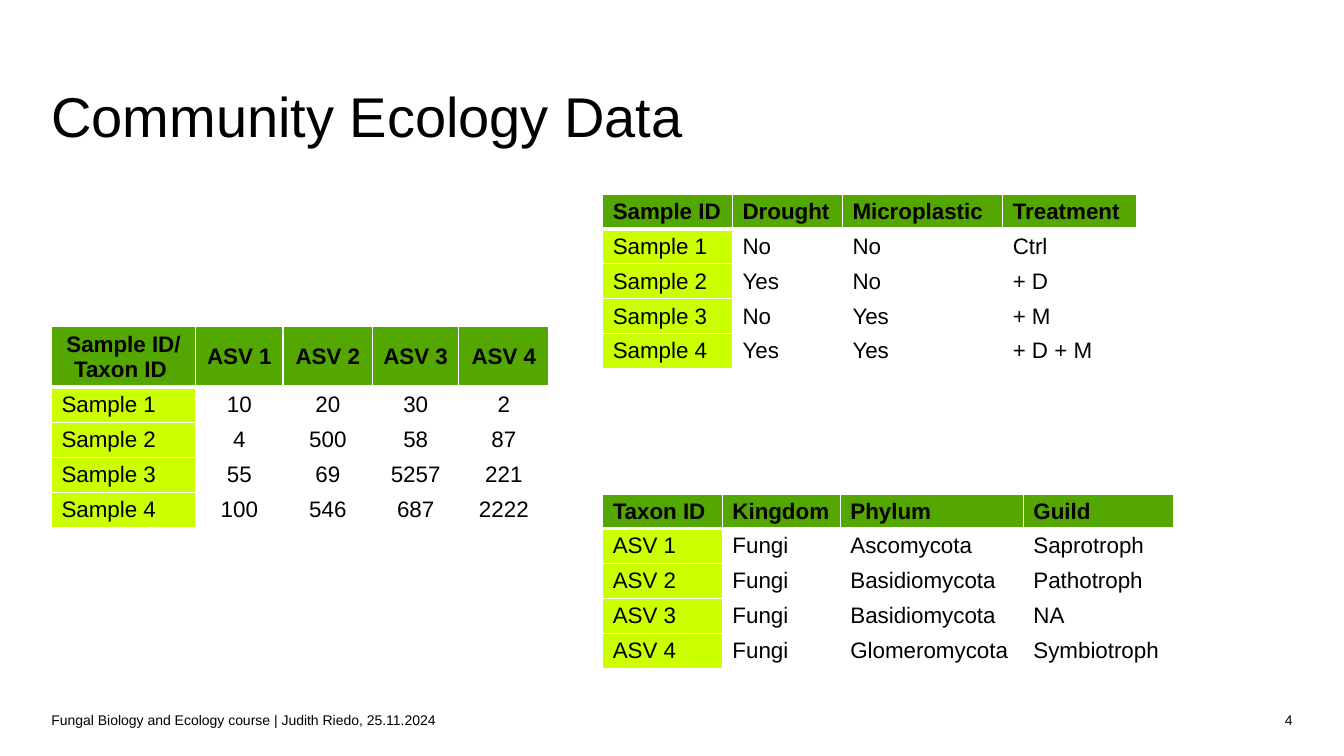
"""Build the Community Ecology Data slide with its three linked tables."""
from lxml import etree
from pptx import Presentation
from pptx.dml.color import RGBColor
from pptx.enum.text import MSO_ANCHOR, PP_ALIGN
from pptx.oxml.ns import qn
from pptx.util import Pt

LEFT, CENTER, RIGHT = PP_ALIGN.LEFT, PP_ALIGN.CENTER, PP_ALIGN.RIGHT
MIDDLE = MSO_ANCHOR.MIDDLE
TITLE_ONLY = 5
ROW_HEIGHT = 25
THIN, THICK = 0.96, 3
COLORS = {"text": "000000", "header": "54A700", "label": "CCFF00", "border": "FFFFFF"}


def write_text(frame, text, size, align=LEFT, bold=False):
    """Fill a text frame with one formatted paragraph."""
    para = frame.paragraphs[0]
    para.alignment = align
    span = para.add_run()
    span.text = text
    span.font.color.rgb = RGBColor.from_string(COLORS["text"])
    for name, value in {"name": "Arial", "size": Pt(size), "bold": bold}.items():
        setattr(span.font, name, value)


def add_borders(cell, top, bottom):
    """Draw the four cell borders with the given top and bottom widths."""
    properties = cell._tc.get_or_add_tcPr()
    sides = {"a:lnL": THIN, "a:lnR": THIN, "a:lnT": top, "a:lnB": bottom}
    for position, (tag, width) in enumerate(sides.items()):
        line = etree.Element(qn(tag), w=str(int(Pt(width))))
        fill = etree.SubElement(line, qn("a:solidFill"))
        etree.SubElement(fill, qn("a:srgbClr"), val=COLORS["border"])
        properties.insert(position, line)


deck = Presentation()
deck.slide_width, deck.slide_height = Pt(960), Pt(540)
page = deck.slides.add_slide(deck.slide_layouts[TITLE_ONLY])

title = page.shapes.title
footer = page.shapes.add_textbox(0, 0, 0, 0)
number = page.shapes.add_textbox(0, 0, 0, 0)
texts = [
    (title, (36.75, 26.5, 886.5, 111), "Community Ecology Data", 40, LEFT),
    (footer, (36.75, 503.5, 775.5, 22),
     "Fungal Biology and Ecology course | Judith Riedo, 25.11.2024", 10, LEFT),
    (number, (812.25, 503.5, 111, 22), "4", 10, RIGHT),
]
for box, bounds, text, size, align in texts:
    for name, value in zip(("left", "top", "width", "height"), bounds):
        setattr(box, name, Pt(value))
    frame = box.text_frame
    frame.word_wrap = True
    frame.vertical_anchor = MIDDLE
    for side in ("left", "right", "top", "bottom"):
        setattr(frame, f"margin_{side}", 0)
    write_text(frame, text, size, align)

tables = [
    {"left": 36.75, "top": 233.25, "header": 42.5, "align": CENTER,
     "widths": [103, 62.5, 64, 61.5, 64.5],
     "rows": [
         ["Sample ID/ Taxon ID ", "ASV 1", "ASV 2", "ASV 3", "ASV 4"],
         ["Sample 1", "10", "20", "30", "2"],
         ["Sample 2", "4", "500", "58", "87"],
         ["Sample 3", "55", "69", "5257", "221"],
         ["Sample 4", "100", "546", "687", "2222"],
     ]},
    {"left": 430.5, "top": 139, "header": 24.5, "align": LEFT,
     "widths": [92.75, 78.5, 114.5, 95.75],
     "rows": [
         ["Sample ID", "Drought", "Microplastic", "Treatment"],
         ["Sample 1", "No", "No", "Ctrl"],
         ["Sample 2", "Yes", "No", "+ D"],
         ["Sample 3", "No", "Yes", "+ M"],
         ["Sample 4", "Yes", "Yes", "+ D + M"],
     ]},
    {"left": 430.5, "top": 353, "header": 24.5, "align": LEFT,
     "widths": [85.5, 84.25, 130.75, 107],
     "rows": [
         ["Taxon ID", "Kingdom", "Phylum", "Guild"],
         ["ASV 1", "Fungi", "Ascomycota", "Saprotroph"],
         ["ASV 2", "Fungi", "Basidiomycota", "Pathotroph"],
         ["ASV 3", "Fungi", "Basidiomycota", "NA"],
         ["ASV 4", "Fungi", "Glomeromycota", "Symbiotroph"],
     ]},
]
for data in tables:
    rows, widths = data["rows"], data["widths"]
    heights = [data["header"]] + [ROW_HEIGHT] * (len(rows) - 1)
    table = page.shapes.add_table(
        len(rows), len(widths), Pt(data["left"]), Pt(data["top"]),
        Pt(sum(widths)), Pt(sum(heights))).table
    table.horz_banding = False
    for column, width in zip(table.columns, widths):
        column.width = Pt(width)
    for row, height in zip(table.rows, heights):
        row.height = Pt(height)
    for row_index, values in enumerate(rows):
        is_header = row_index == 0
        for column_index, value in enumerate(values):
            is_label = column_index == 0 and not is_header
            cell = table.cell(row_index, column_index)
            cell.vertical_anchor = MIDDLE
            cell.margin_top = cell.margin_bottom = Pt(2.5)
            if is_header or is_label:
                cell.fill.solid()
                color = COLORS["header" if is_header else "label"]
                cell.fill.fore_color.rgb = RGBColor.from_string(color)
            else:
                cell.fill.background()
            add_borders(cell, THICK if row_index == 1 else THIN,
                        THICK if is_header else THIN)
            align = LEFT if is_label else data["align"]
            write_text(cell.text_frame, value, 16, align, is_header)

deck.save("out.pptx")
